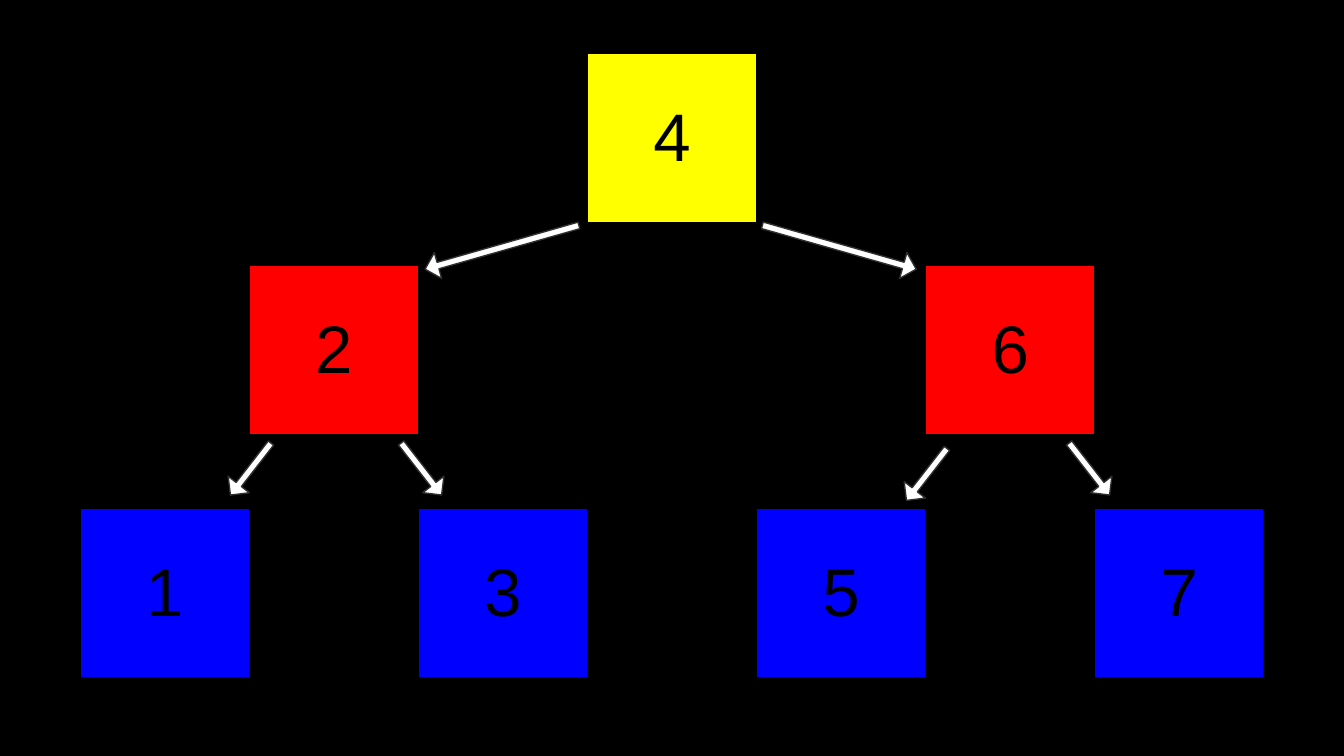
"""Build a slide with a binary search tree of seven nodes."""
from pptx import Presentation
from pptx.dml.color import RGBColor
from pptx.enum.shapes import MSO_SHAPE
from pptx.enum.text import MSO_ANCHOR, PP_ALIGN
from pptx.util import Inches, Pt


def paint(fill, color):
    fill.solid()
    fill.fore_color.rgb = RGBColor.from_string(color)


deck = Presentation()
deck.slide_width = Inches(10)
deck.slide_height = Inches(10 * 9 / 16)
slide = deck.slides.add_slide(deck.slide_layouts[6])
paint(slide.background.fill, "000000")

side = Inches(1.25)
step = (8.15 - 0.6) / 6
plain = "{2D5ABB26-0587-4C30-8999-92F81FD0307C}"
levels = [
    (0.4, "FFFF00", [4]),
    (1.98, "FF0000", [2, 6]),
    (3.79, "0000FF", [1, 3, 5, 7]),
]
for top, color, keys in levels:
    for key in keys:
        left = Inches(0.6 + (key - 1) * step)
        frame = slide.shapes.add_table(1, 1, left, Inches(top), side, side)
        table = frame.table
        table.first_row = table.horz_banding = False
        table._tbl.tblPr[0].text = plain
        cell = table.cell(0, 0)
        paint(cell.fill, color)
        cell.vertical_anchor = MSO_ANCHOR.MIDDLE
        cell.margin_left = cell.margin_right = Inches(0.1)
        cell.margin_top = cell.margin_bottom = Inches(0.1)
        cell.text = str(key)
        line = cell.text_frame.paragraphs[0]
        line.alignment = PP_ALIGN.CENTER
        line.font.name = "Arial"
        line.font.size = Pt(36)
        paint(line.font.fill, "000000")

arrows = [
    (5.65, 1.74, 1.19, 15.9),
    (3.14, 1.74, 1.19, 164.1),
    (1.62, 3.39, 0.49, 127.9),
    (6.65, 3.43, 0.49, 127.9),
    (2.89, 3.39, 0.49, 52.1),
    (7.86, 3.39, 0.49, 52.1),
]
for left, top, width, angle in arrows:
    arrow = slide.shapes.add_shape(
        MSO_SHAPE.RIGHT_ARROW, Inches(left), Inches(top), Inches(width), Inches(0.2)
    )
    arrow.shadow.inherit = False
    arrow.rotation = angle
    arrow.adjustments[0] = 0.25
    arrow.adjustments[1] = 0.5
    paint(arrow.fill, "FFFFFF")
    paint(arrow.line.fill, "303030")
    arrow.line.width = Pt(0.75)

deck.save("out.pptx")
